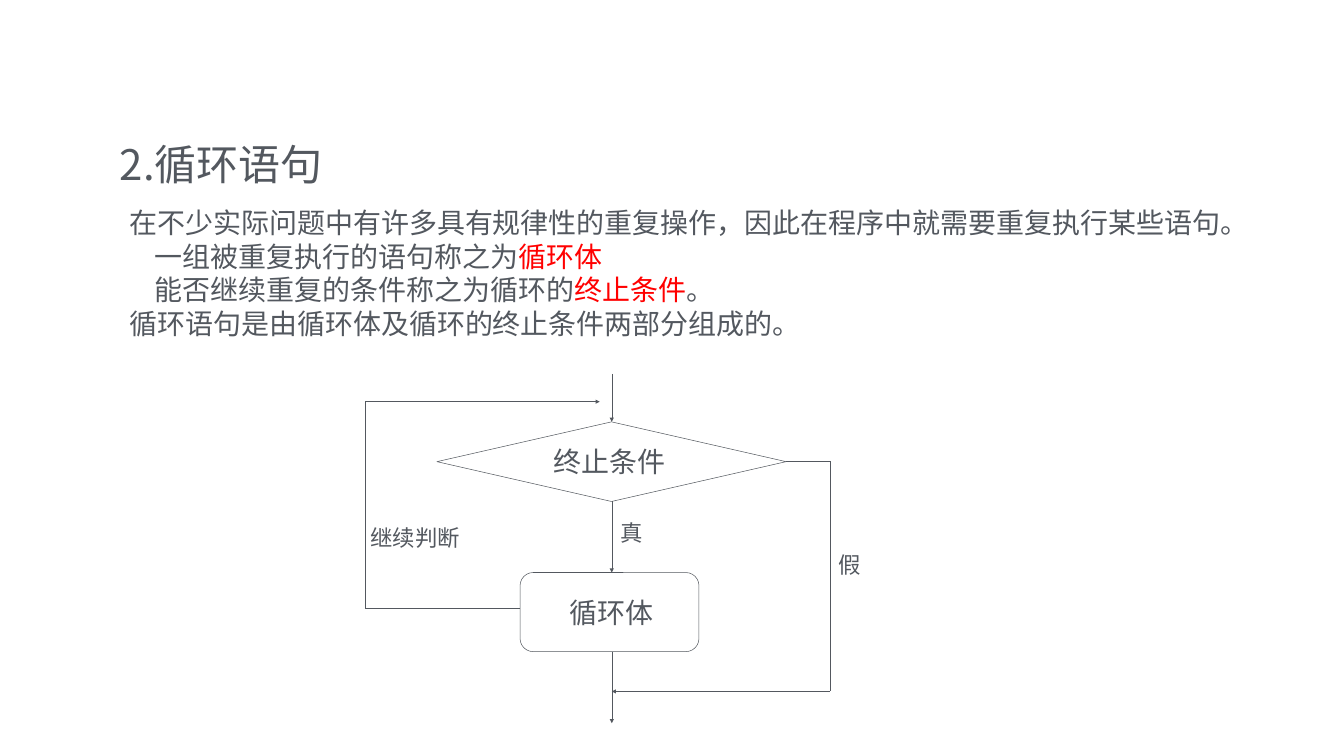
from lxml import etree
from pptx import Presentation
from pptx import util as u
from pptx.dml.color import RGBColor
from pptx.enum import shapes, text
from pptx.oxml.ns import qn

GREY, RED, BLACK = "53585F", "FF0000", "000000"
CJK = "Noto Sans CJK SC"


def color(code):
    return RGBColor.from_string(code)


def add_run(para, words, size, code=GREY, font=CJK):
    run = para.add_run()
    run.text = words
    for name, value in {"size": u.Pt(size), "name": font}.items():
        setattr(run.font, name, value)
    run.font.color.rgb = color(code)
    etree.SubElement(run.font._element, qn("a:ea"), typeface=CJK)


def add_box(slide, box, lines, size, font=CJK, wrap=True, inset=None, spacing=None):
    """Text box; each line is a list of (words, colour) runs."""
    frame = slide.shapes.add_textbox(*map(u.Inches, box)).text_frame
    frame.word_wrap = wrap
    frame.auto_size = text.MSO_AUTO_SIZE.SHAPE_TO_FIT_TEXT
    if inset is not None:
        for side in ("left", "top", "right", "bottom"):
            setattr(frame, f"margin_{side}", u.Inches(inset))
    for i, runs in enumerate(lines):
        para = frame.add_paragraph() if i else frame.paragraphs[0]
        if spacing:
            para.line_spacing = spacing
        for words, code in runs:
            add_run(para, words, size, code, font)


def add_line(slide, start, end, arrow=False, code=GREY):
    line = slide.shapes.add_connector(
        shapes.MSO_CONNECTOR.STRAIGHT, *map(u.Inches, (*start, *end)))
    line.line.color.rgb = color(code)
    line.line.width = u.Pt(0.75)
    if arrow:
        etree.SubElement(line.line._get_or_add_ln(), qn("a:tailEnd"), type="triangle")
    etree.SubElement(line._element.spPr, qn("a:effectLst"))


def add_node(slide, kind, box):
    node = slide.shapes.add_shape(kind, *map(u.Inches, box))
    node.shadow.inherit = False
    node.fill.background()
    node.line.color.rgb = color(GREY)
    node.line.width = u.Pt(0.75)


def add_title(slide, box):
    add_box(slide, box, [[("2.循环语句", GREY)]], 60, inset=0.06, spacing=1.2)


def add_body(slide, box):
    lines = [
        [("在不少实际问题中有许多具有规律性的重复操作，因此在程序中就需要重复执行某些语句。", GREY)],
        [("\t一组被重复执行的语句称之为", GREY), ("循环体", RED)],
        [("\t能否继续重复的条件称之为循环的", GREY), ("终止条件", RED), ("。", GREY)],
        [("循环语句是由循环体及循环的终止条件两部分组成的。", GREY)],
    ]
    add_box(slide, box, lines, 40)


def add_flow(slide, box):
    """Loop flowchart: a test, a body, the way back and the way out."""
    left, top, width, height = box
    mid, right, end = left + 4.89, left + width, top + height
    back, join = top + 0.55, top + 6.3
    test = (left + 1.42, top + 0.95, 6.93, 1.58)
    body = (left + 3.07, top + 3.94, 3.55, 1.57)
    test_y, body_y = test[1] + 0.78, body[1] + 0.71

    add_node(slide, shapes.MSO_SHAPE.FLOWCHART_DECISION, test)
    add_node(slide, shapes.MSO_SHAPE.FLOWCHART_ALTERNATE_PROCESS, body)

    for start, stop in ((top, test[1]), (test[1] + test[3], body[1]),
                        (body[1] + body[3], end)):
        add_line(slide, (mid, start), (mid, stop), arrow=True)

    loop = [(body[0], body_y), (left, body_y), (left, back), (mid - 0.24, back)]
    leave = [(test[0] + test[2], test_y), (right, test_y), (right, join), (mid, join)]
    for route in (loop, leave):
        for i, (start, stop) in enumerate(zip(route, route[1:])):
            add_line(slide, start, stop, arrow=i == len(route) - 2)

    for words, x, y, wide, size in (
            ("终止条件", 3.63, 1.36, 2.42, 40),
            ("循环体", 3.96, 4.35, 1.87, 40),
            ("真", 4.97, 2.84, 0.65, 32),
            ("继续判断", 0, 2.92, 1.98, 32),
            ("假", 9.3, 3.47, 0.65, 32)):
        spot = (left + x, top + y, wide, 0.77 if size == 40 else 0.63)
        add_box(slide, spot, [[(words, GREY)]], size, font="Arial", wrap=False)


def main():
    deck = Presentation()
    deck.slide_width, deck.slide_height = u.Inches(26.67), u.Inches(15)
    slide = deck.slides.add_slide(deck.slide_layouts[6])
    add_title(slide, (2.32, 2.49, 22.03, 1.31))
    add_body(slide, (2.47, 4.03, 23.39, 2.77))
    add_line(slide, (6.4, 6.87), (6.4, 6.87), arrow=True, code=BLACK)
    add_flow(slide, (7.25, 7.42, 9.22, 6.93))
    deck.save("out.pptx")


if __name__ == "__main__":
    main()
